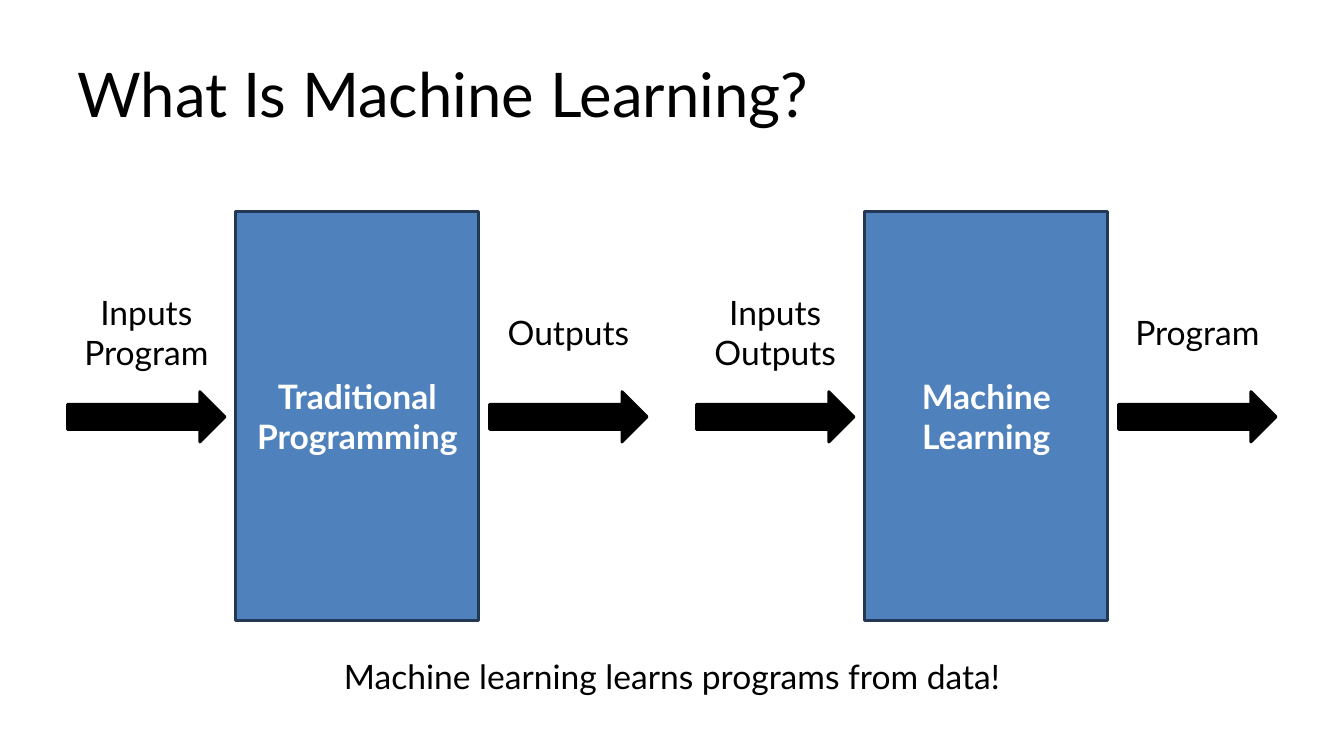
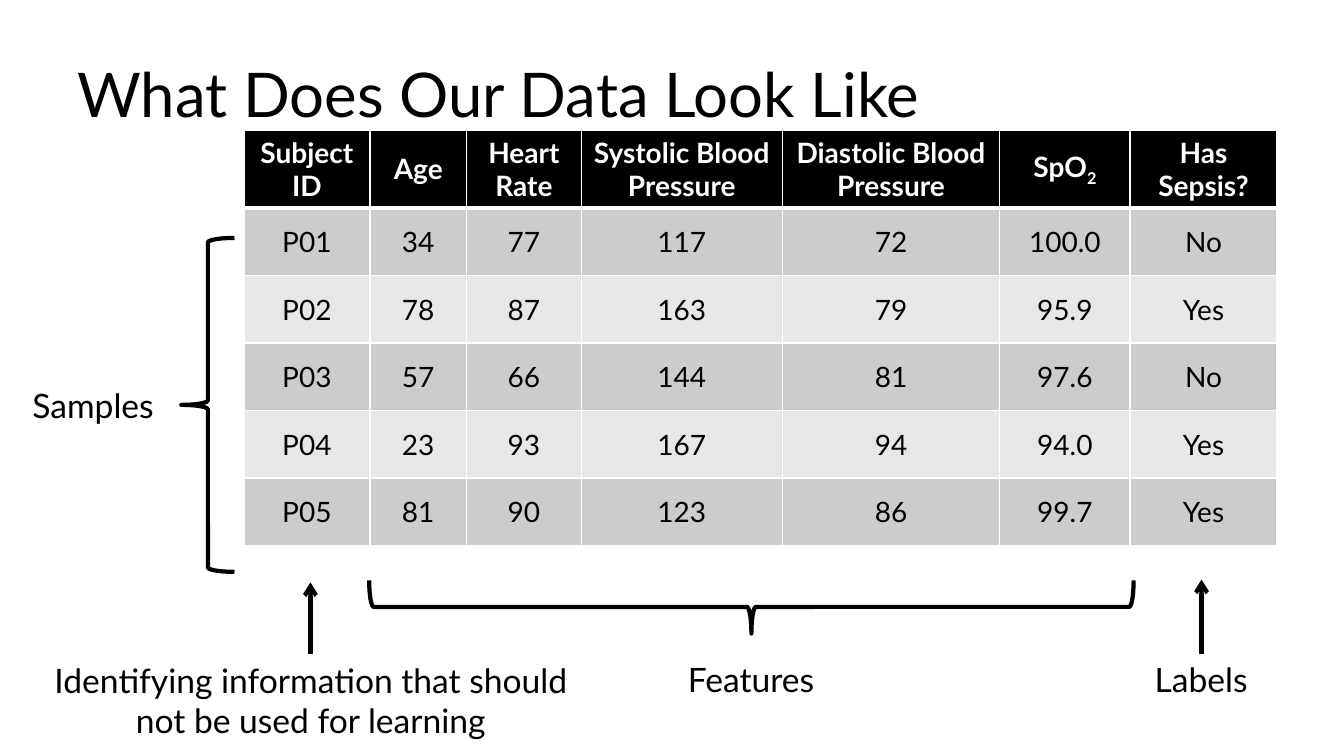
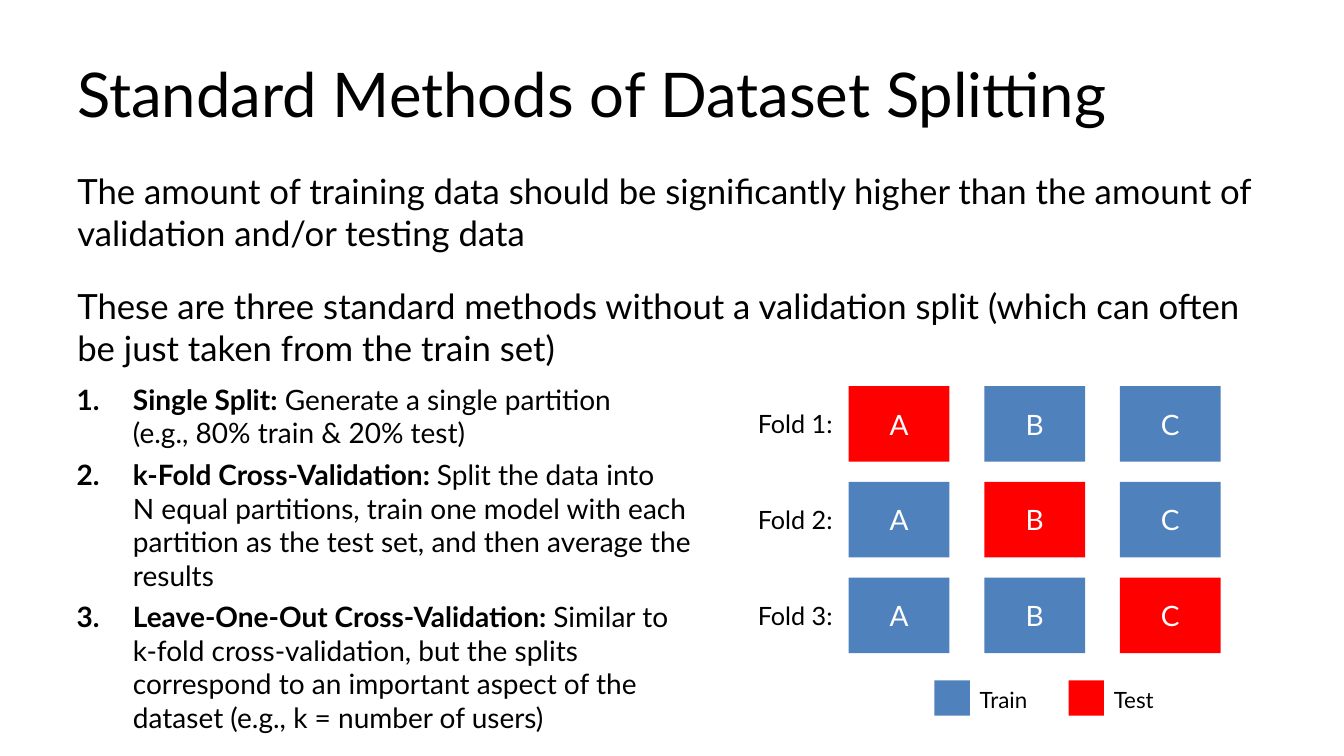
from lxml.etree import SubElement
from pptx import Presentation
from pptx.dml.color import RGBColor
from pptx.enum.shapes import MSO_CONNECTOR as LINE, MSO_SHAPE as SHAPE
from pptx.enum.text import MSO_ANCHOR as ANCHOR, MSO_AUTO_SIZE as AUTO, PP_ALIGN as ALIGN
from pptx.oxml.ns import qn
from pptx.util import Pt

FONT = "Lato"
COLORS = {
    "black": "000000", "white": "FFFFFF", "blue": "4F81BD", "navy": "233953",
    "red": "FF0000", "dark_band": "CCCCCC", "light_band": "E7E7E7",
}
TITLE_BOX = (48, 21.6, 864, 90)

FLOWS = [
    (["Inputs", "Program"], "Traditional Programming", ["Outputs"]),
    (["Inputs", "Outputs"], "Machine Learning", ["Program"]),
]
TAKEAWAY = "Machine learning learns programs from data!"

HEADERS = ["Subject ID", "Age", "Heart Rate", "Systolic Blood Pressure",
           "Diastolic Blood Pressure", [("SpO", ""), ("2", "sub")], "Has Sepsis?"]
PATIENTS = [
    ("P01", "34", "77", "117", "72", "100.0", "No"),
    ("P02", "78", "87", "163", "79", "95.9", "Yes"),
    ("P03", "57", "66", "144", "81", "97.6", "No"),
    ("P04", "23", "93", "167", "94", "94.0", "Yes"),
    ("P05", "81", "90", "123", "86", "99.7", "Yes"),
]
COLUMN_WIDTHS = [90, 69, 82, 143.5, 155.5, 93, 105]
ROW_HEIGHTS = [54] + [48.25] * len(PATIENTS)
NOTES = [
    ("Features", (483, 467, 107, 36)),
    ("Labels", (816, 467, 84, 36)),
    ("Identifying information that should\nnot be used for learning", (24.5, 467, 395, 66)),
    ("Samples", (13.5, 271.5, 106, 36)),
]
POINTERS = [(858.25, 414), (221.75, 416)]
BRACES = [((517.75, 160.5, 38, 546), 270), ((129.5, 170, 38, 238.5), 0)]

ADVICE = [
    "The amount of training data should be significantly higher than the amount of "
    "validation and/or testing data",
    "These are three standard methods without a validation split (which can often "
    "be just taken from the train set)",
]
METHODS = [
    [("Single Split:", "bold"),
     (" Generate a single partition\n(e.g., 80% train & 20% test)", "")],
    [("k-Fold Cross-Validation: ", "bold"),
     ("Split the data into\nN equal partitions, train one model with each partition "
      "as the test set, and then average the results", "")],
    [("Leave-One-Out Cross-Validation: ", "bold"),
     ("Similar to\nk-fold cross-validation, but the splits correspond to an important "
      "aspect of the dataset (e.g., k = number of users)", "")],
]
PARTITIONS = "ABC"
LEGEND = [("Train", "blue"), ("Test", "red")]


def rgb(name):
    return RGBColor.from_string(COLORS[name])


def place(shape, box):
    shape.left, shape.top, shape.width, shape.height = map(Pt, box)


def write(frame, paragraphs, size=24, color="black", bold=False, align=ALIGN.CENTER,
          anchor=ANCHOR.MIDDLE, after=None, number=None, indent=None):
    frame.word_wrap = True
    frame.vertical_anchor = anchor
    for index, content in enumerate(paragraphs):
        paragraph = frame.add_paragraph() if index else frame.paragraphs[0]
        paragraph.alignment = align
        if after and index < len(paragraphs) - 1:
            paragraph.space_after = Pt(after)
        if indent is not None:
            props = paragraph._p.get_or_add_pPr()
            props.set("marL", str(Pt(indent)))
            props.set("indent", str(-Pt(indent)))
            if number:
                SubElement(props, qn("a:buAutoNum")).set("type", number)
            else:
                SubElement(props, qn("a:buNone"))
        runs = [(content, "")] if isinstance(content, str) else content
        for text, style in runs:
            for part, line in enumerate(text.split("\n")):
                if part:
                    paragraph.add_line_break()
                run = paragraph.add_run()
                run.text = line
                run.font.name = FONT
                run.font.size = Pt(size)
                run.font.bold = bold or style == "bold"
                run.font.color.rgb = rgb(color)
                if style == "sub":
                    run.font._element.set("baseline", "-25000")


def fill_placeholder(placeholder, box, paragraphs, **style):
    place(placeholder, box)
    placeholder.text_frame.auto_size = AUTO.NONE
    write(placeholder.text_frame, paragraphs, align=ALIGN.LEFT, **style)


def new_slide(deck, layout, title):
    slide = deck.slides.add_slide(deck.slide_layouts[layout])
    fill_placeholder(slide.shapes.title, TITLE_BOX, [title], size=44)
    return slide


def add_label(slide, box, paragraphs, **style):
    write(slide.shapes.add_textbox(*map(Pt, box)).text_frame, paragraphs, **style)


def add_figure(slide, kind, box, fill=None, line=None, width=2):
    figure = slide.shapes.add_shape(kind, *map(Pt, box))
    figure.shadow.inherit = False
    if fill:
        figure.fill.solid()
        figure.fill.fore_color.rgb = rgb(fill)
    else:
        figure.fill.background()
    if line:
        figure.line.color.rgb = rgb(line)
        figure.line.width = Pt(width)
    else:
        figure.line.fill.background()
    return figure


def add_pointer(slide, x, bottom, top):
    pointer = slide.shapes.add_connector(LINE.STRAIGHT, Pt(x), Pt(bottom), Pt(x), Pt(top))
    pointer.line.color.rgb = rgb("black")
    pointer.line.width = Pt(3)
    SubElement(pointer.line._get_or_add_ln(), qn("a:tailEnd")).set("type", "arrow")
    SubElement(pointer._element.spPr, qn("a:effectLst"))


def border_cell(cell, widths):
    props = cell._tc.get_or_add_tcPr()
    for index, (side, width) in enumerate(zip("LRTB", widths)):
        edge = SubElement(props, qn("a:ln" + side), w=str(Pt(width)))
        paint = SubElement(edge, qn("a:solidFill"))
        SubElement(paint, qn("a:srgbClr")).set("val", COLORS["white"])
        props.insert(index, edge)


def build_definition(deck):
    slide = new_slide(deck, 5, "What Is Machine Learning?")
    for index, (given, process, result) in enumerate(FLOWS):
        left = 48.25 + 449.25 * index
        box = add_figure(slide, SHAPE.RECTANGLE, (left + 120.25, 151.25, 173.5, 292.25),
                         "blue", "navy")
        write(box.text_frame, [process], color="white", bold=True)
        for x, words in ((left, given), (left + 301.5, result)):
            add_label(slide, (x, 204.25, 112.5, 66), words)
            add_figure(slide, SHAPE.RIGHT_ARROW, (x, 279.75, 112.5, 36), "black", "black")
    add_label(slide, (48, 465, 864, 36), [TAKEAWAY])


def build_data(deck):
    slide = new_slide(deck, 5, "What Does Our Data Look Like")
    rows = [HEADERS] + PATIENTS
    table = slide.shapes.add_table(
        len(rows), len(HEADERS), Pt(174.25), Pt(93),
        Pt(sum(COLUMN_WIDTHS)), Pt(sum(ROW_HEIGHTS))).table
    for column, width in zip(table.columns, COLUMN_WIDTHS):
        column.width = Pt(width)
    for r, values in enumerate(rows):
        table.rows[r].height = Pt(ROW_HEIGHTS[r])
        header = r == 0
        band = "black" if header else "dark_band" if r % 2 else "light_band"
        for c, value in enumerate(values):
            cell = table.cell(r, c)
            cell.fill.solid()
            cell.fill.fore_color.rgb = rgb(band)
            cell.vertical_anchor = ANCHOR.MIDDLE
            write(cell.text_frame, [value], size=20, bold=header,
                  color="white" if header else "black", anchor=None)
            border_cell(cell, (1, 1, 3 if r == 1 else 1, 3 if header else 1))
    for words, box in NOTES:
        add_label(slide, box, [words])
    for x, top in POINTERS:
        add_pointer(slide, x, 467, top)
    for box, turn in BRACES:
        add_figure(slide, SHAPE.LEFT_BRACE, box, line="black", width=3).rotation = turn


def build_splitting(deck):
    slide = new_slide(deck, 3, "Standard Methods of Dataset Splitting")
    advice, methods = list(slide.placeholders)[1:]
    fill_placeholder(advice, (48, 126, 864, 132.5), ADVICE, size=24.8, after=18, indent=0)
    fill_placeholder(methods, (47.5, 269.5, 468, 258.5), METHODS, size=20,
                     anchor=ANCHOR.TOP, number="arabicPeriod", indent=40.25)
    for fold in range(len(PARTITIONS)):
        top = 275.75 + 68.4 * fold
        add_label(slide, (534.25, top, 72, 54), [f"Fold {fold + 1}:"],
                  size=18, align=ALIGN.LEFT)
        for index, name in enumerate(PARTITIONS):
            color = "red" if index == fold else "blue"
            partition = add_figure(slide, SHAPE.RECTANGLE,
                                   (606.25 + 96.85 * index, top, 72, 54), color)
            write(partition.text_frame, [name], size=20, color="white")
    for index, (name, color) in enumerate(LEGEND):
        left = 667.5 + 95.75 * index
        add_figure(slide, SHAPE.RECTANGLE, (left, 486, 25.25, 25.25), color)
        add_label(slide, (left + 25.25, 486.75, 58, 26.5), [name], size=16, align=ALIGN.LEFT)


def main():
    deck = Presentation()
    deck.slide_width, deck.slide_height = Pt(960), Pt(540)
    for build in (build_definition, build_data, build_splitting):
        build(deck)
    deck.save("out.pptx")


if __name__ == "__main__":
    main()
